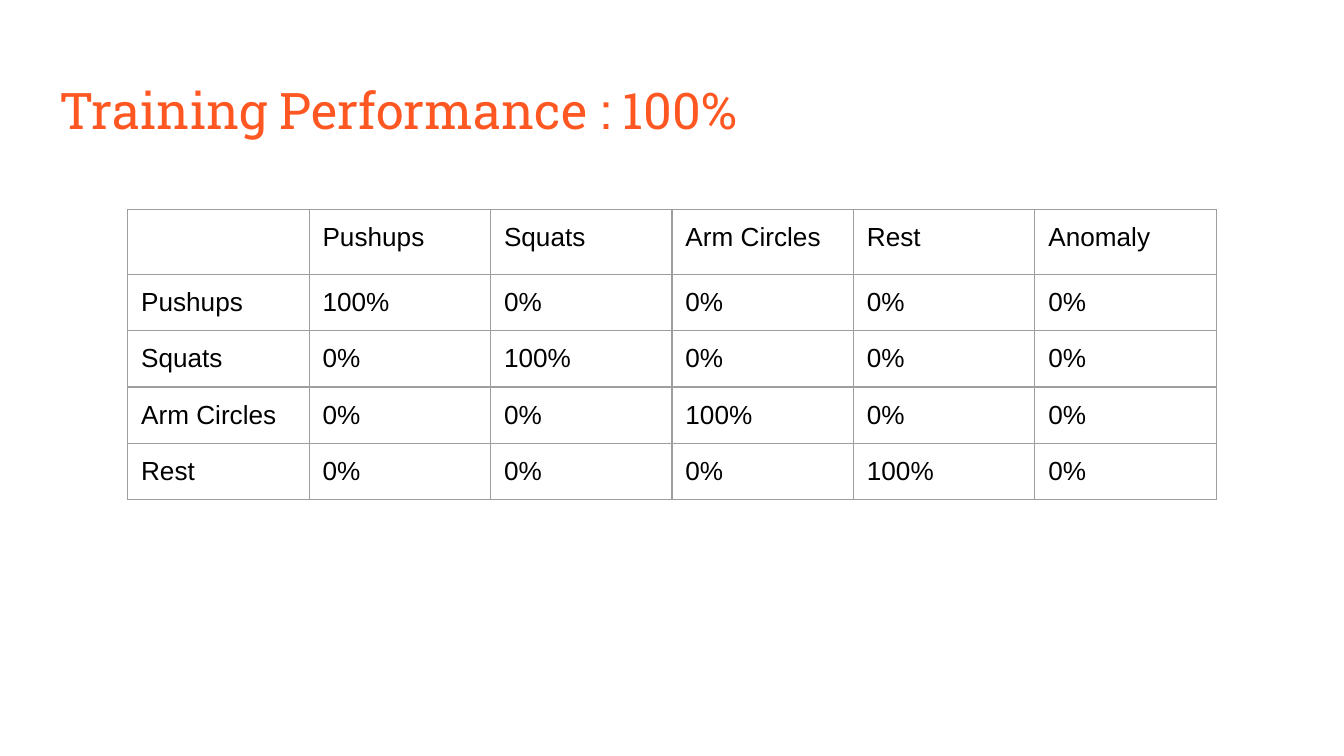
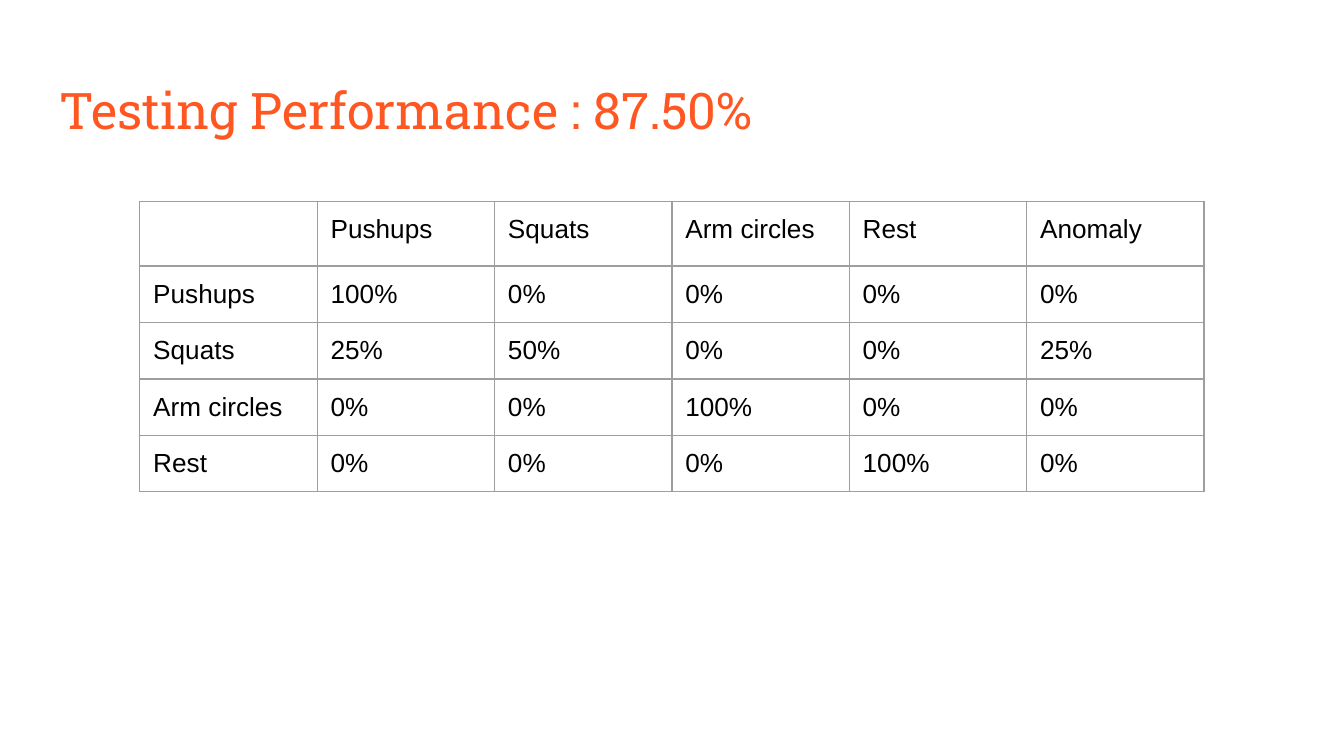
import pptx
import pptx.dml.color
import pptx.enum.text
import pptx.oxml
import pptx.oxml.ns
import pptx.util

Inches = pptx.util.Inches
Pt = pptx.util.Pt
RGB = pptx.dml.color.RGBColor.from_string

THEME = {
    "title": {"font": "Roboto Slab", "size": 27, "color": "FF5722"},
    "cell": {"font": "Arial", "size": 14, "color": "000000"},
    "border": "9E9E9E",
    "border_width": 0.75,
    "background": "FFFFFF",
    "inset": 0.1,
}

SLIDES = [
    {
        "title": "Training Performance : 100%",
        "labels": ["Pushups", "Squats", "Arm Circles", "Rest"],
        "values": [[100, 0, 0, 0, 0], [0, 100, 0, 0, 0],
                   [0, 0, 100, 0, 0], [0, 0, 0, 100, 0]],
        "left": 0.95, "top": 1.56, "col_width": 1.35,
    },
    {
        "title": "Testing Performance : 87.50%",
        "labels": ["Pushups", "Squats", "Arm circles", "Rest"],
        "values": [[100, 0, 0, 0, 0], [25, 50, 0, 0, 25],
                   [0, 0, 100, 0, 0], [0, 0, 0, 100, 0]],
        "left": 1.04, "top": 1.5, "col_width": 1.32,
    },
]
HEADER_HEIGHT = 0.48
ROW_HEIGHT = 0.42


def set_text(box, tf, text, style):
    box.margin_left = box.margin_right = Inches(THEME["inset"])
    box.margin_top = box.margin_bottom = Inches(THEME["inset"])
    tf.text = text
    p = tf.paragraphs[0]
    p.alignment = pptx.enum.text.PP_ALIGN.LEFT
    p.font.name = style["font"]
    p.font.size = Pt(style["size"])
    p.font.color.rgb = RGB(style["color"])


def set_borders(cell):
    tcPr = cell._tc.get_or_add_tcPr()
    for side in ("lnL", "lnR", "lnT", "lnB"):
        tcPr.append(pptx.oxml.parse_xml(
            f'<a:{side} {pptx.oxml.ns.nsdecls("a")} w="{Pt(THEME["border_width"])}">'
            f'<a:solidFill><a:srgbClr val="{THEME["border"]}"/></a:solidFill>'
            f'</a:{side}>'))


prs = pptx.Presentation()
prs.slide_width = Inches(10)
prs.slide_height = Inches(10 * 9 / 16)
fill = prs.slide_master.background.fill
fill.solid()
fill.fore_color.rgb = RGB(THEME["background"])

for data in SLIDES:
    s = prs.slides.add_slide(prs.slide_layouts[5])

    title = s.shapes.title
    title.left, title.top = Inches(0.34), Inches(0.49)
    title.width, title.height = Inches(9.32), Inches(0.63)
    tf = title.text_frame
    set_text(tf, tf, data["title"], THEME["title"])
    tf.word_wrap = True
    tf.auto_size = pptx.enum.text.MSO_AUTO_SIZE.NONE
    tf.vertical_anchor = pptx.enum.text.MSO_ANCHOR.TOP

    rows = [["", *data["labels"], "Anomaly"]]
    for label, values in zip(data["labels"], data["values"]):
        rows.append([label] + [f"{value}%" for value in values])

    n_rows, n_cols = len(rows), len(rows[0])
    table = s.shapes.add_table(
        n_rows, n_cols, Inches(data["left"]), Inches(data["top"]),
        Inches(data["col_width"] * n_cols),
        Inches(HEADER_HEIGHT + ROW_HEIGHT * (n_rows - 1))).table
    table.first_row = False
    table.horz_banding = False
    for col in table.columns:
        col.width = Inches(data["col_width"])

    for i, row in enumerate(rows):
        table.rows[i].height = Inches(ROW_HEIGHT if i else HEADER_HEIGHT)
        for j, text in enumerate(row):
            cell = table.cell(i, j)
            set_borders(cell)
            cell.fill.background()
            if text:
                set_text(cell, cell.text_frame, text, THEME["cell"])

prs.save("out.pptx")
